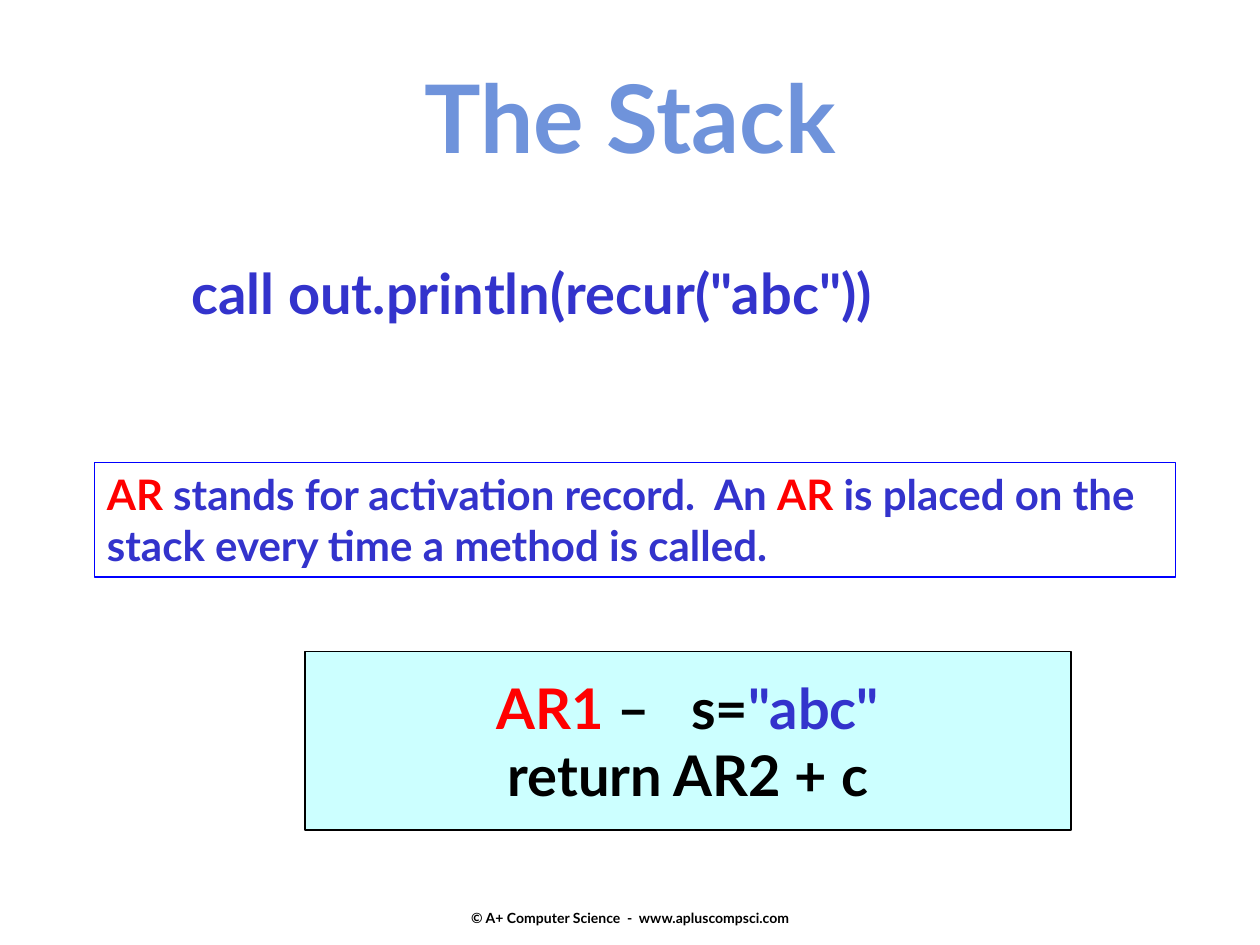
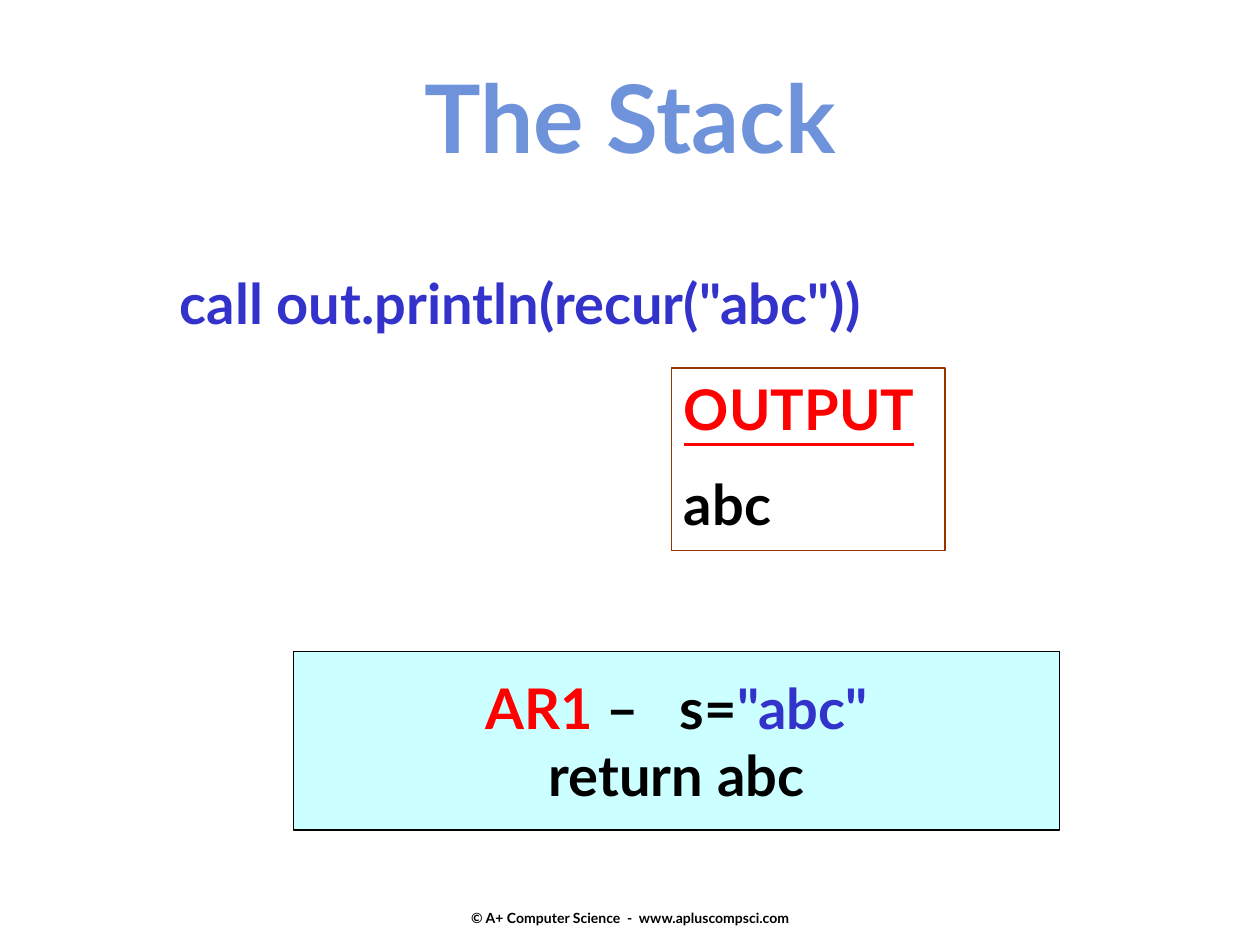
from dataclasses import dataclass

import pptx
import pptx.dml.color
import pptx.enum.shapes
import pptx.enum.text
import pptx.presentation
import pptx.slide
import pptx.util

Inches = pptx.util.Inches
RGBColor = pptx.dml.color.RGBColor
ALIGN = pptx.enum.text.PP_ALIGN
ANCHOR = pptx.enum.text.MSO_ANCHOR

FONT = "Lato"
BLACK = RGBColor(0x00, 0x00, 0x00)
RED = RGBColor(0xFF, 0x00, 0x00)
INDIGO = RGBColor(0x33, 0x33, 0xCC)
BLUE = RGBColor(0x00, 0x00, 0xFF)
BROWN = RGBColor(0x99, 0x33, 0x00)
CYAN = RGBColor(0xCC, 0xFF, 0xFF)
TITLE_BLUE = RGBColor(0x6F, 0x93, 0xDB)


@dataclass(frozen=True)
class Span:
    text: str
    color: RGBColor = BLACK
    underline: bool = False


@dataclass(frozen=True)
class Panel:
    left: float
    top: float
    width: float
    height: float
    lines: tuple[tuple[Span, ...], ...]
    size: int = 32
    align: ALIGN = ALIGN.LEFT
    anchor: ANCHOR = ANCHOR.TOP
    wrap: bool = True
    gap: int = 0
    border: RGBColor | None = None
    fill: RGBColor | None = None


TITLE = Panel(0, 0.42, 10, 1.01, ((Span("The Stack", TITLE_BLUE),),),
              size=54, align=ALIGN.CENTER)
FOOTER = Panel(3.42, 7.16, 3.17, 0.25,
               ((Span("© A+ Computer Science  -  www.apluscompsci.com"),),),
               size=8, align=ALIGN.CENTER, anchor=ANCHOR.MIDDLE, wrap=False)


def call_line(left: float, top: float) -> Panel:
    return Panel(left, top, 7.08, 0.63,
                 ((Span('call out.println(recur("abc"))', INDIGO),),))


def activation_record(left: float, result: str) -> Panel:
    variables = (Span("AR1", RED), Span(" –   s="), Span('"abc"', INDIGO))
    return Panel(left, 5.17, 6.08, 1.42, (variables, (Span(result),)),
                 align=ALIGN.CENTER, anchor=ANCHOR.MIDDLE, wrap=False,
                 border=BLACK, fill=CYAN)


AR_NOTE = Panel(0.75, 3.67, 8.58, 0.91, ((
    Span("AR", RED),
    Span(" stands for activation record.  An ", INDIGO),
    Span("AR", RED),
    Span(" is placed on the stack every time a method is called.", INDIGO),
),), size=24, border=BLUE)

OUTPUT = Panel(5.33, 2.92, 2.17, 1.45,
               ((Span("OUTPUT", RED, underline=True),), (Span("abc"),)),
               gap=16, border=BROWN)

SLIDES = (
    (call_line(1.42, 2), activation_record(2.42, "return AR2 + c"), AR_NOTE),
    (activation_record(2.33, "return abc"), OUTPUT, call_line(1.33, 2.08)),
)


def add_panel(s: pptx.slide.Slide, panel: Panel) -> None:
    box = [Inches(v) for v in (panel.left, panel.top, panel.width, panel.height)]
    if panel.border is None:
        sp = s.shapes.add_textbox(*box)
    else:
        sp = s.shapes.add_shape(pptx.enum.shapes.MSO_SHAPE.RECTANGLE, *box)
        sp.shadow.inherit = False
        sp.line.color.rgb = panel.border
        sp.line.width = pptx.util.Pt(1)
        if panel.fill is None:
            sp.fill.background()
        else:
            sp.fill.solid()
            sp.fill.fore_color.rgb = panel.fill

    tf = sp.text_frame
    tf.word_wrap = panel.wrap
    tf.vertical_anchor = panel.anchor
    for i, spans in enumerate(panel.lines):
        p = tf.add_paragraph() if i else tf.paragraphs[0]
        p.alignment = panel.align
        p.space_before = pptx.util.Pt(panel.gap if i else 0)
        p.font.name = FONT
        p.font.size = pptx.util.Pt(panel.size)
        p.font.bold = True
        for span in spans:
            r = p.add_run()
            r.text = span.text
            r.font.color.rgb = span.color
            if span.underline:
                r.font.underline = True


def add_stack_slide(prs: pptx.presentation.Presentation,
                    panels: tuple[Panel, ...]) -> None:
    s = prs.slides.add_slide(prs.slide_layouts[6])
    for panel in (FOOTER, *panels, TITLE):
        add_panel(s, panel)


def main() -> None:
    prs = pptx.Presentation()
    prs.slide_width = Inches(10)
    prs.slide_height = Inches(7.5)
    for panels in SLIDES:
        add_stack_slide(prs, panels)
    prs.save("out.pptx")


if __name__ == "__main__":
    main()
